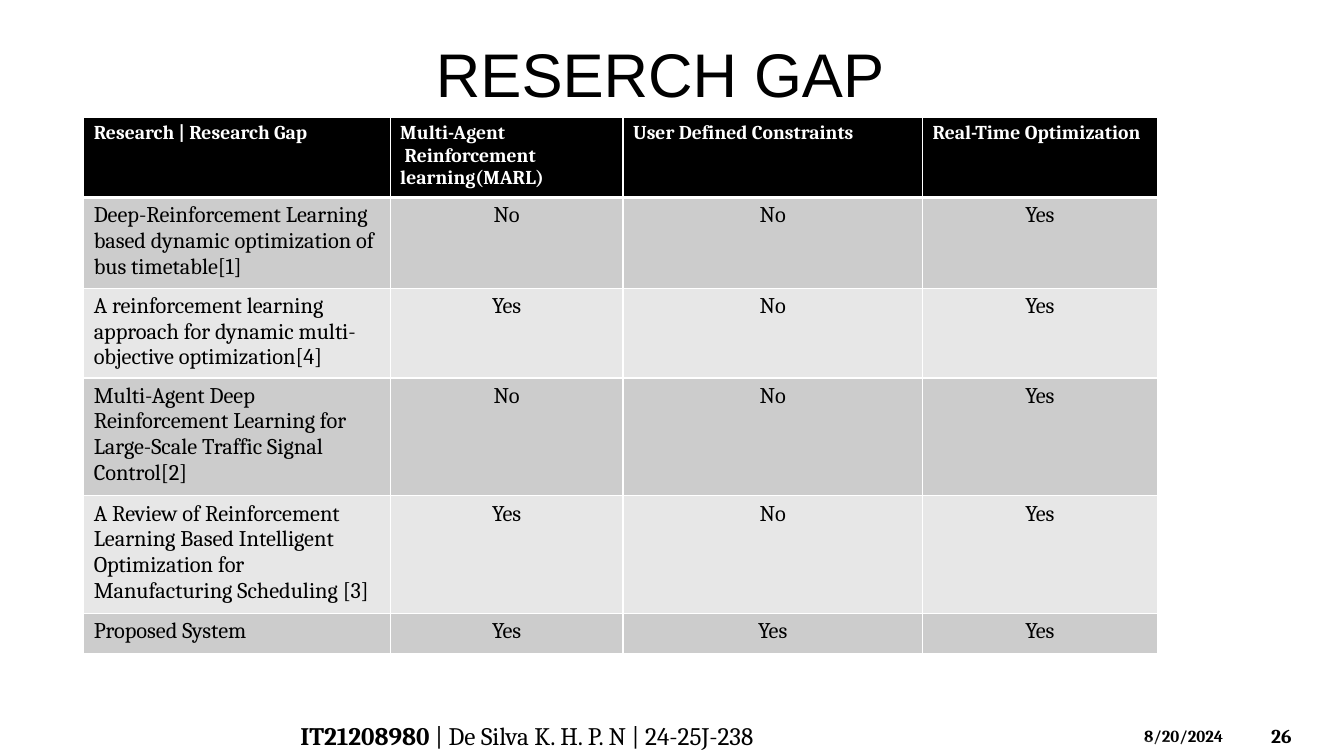
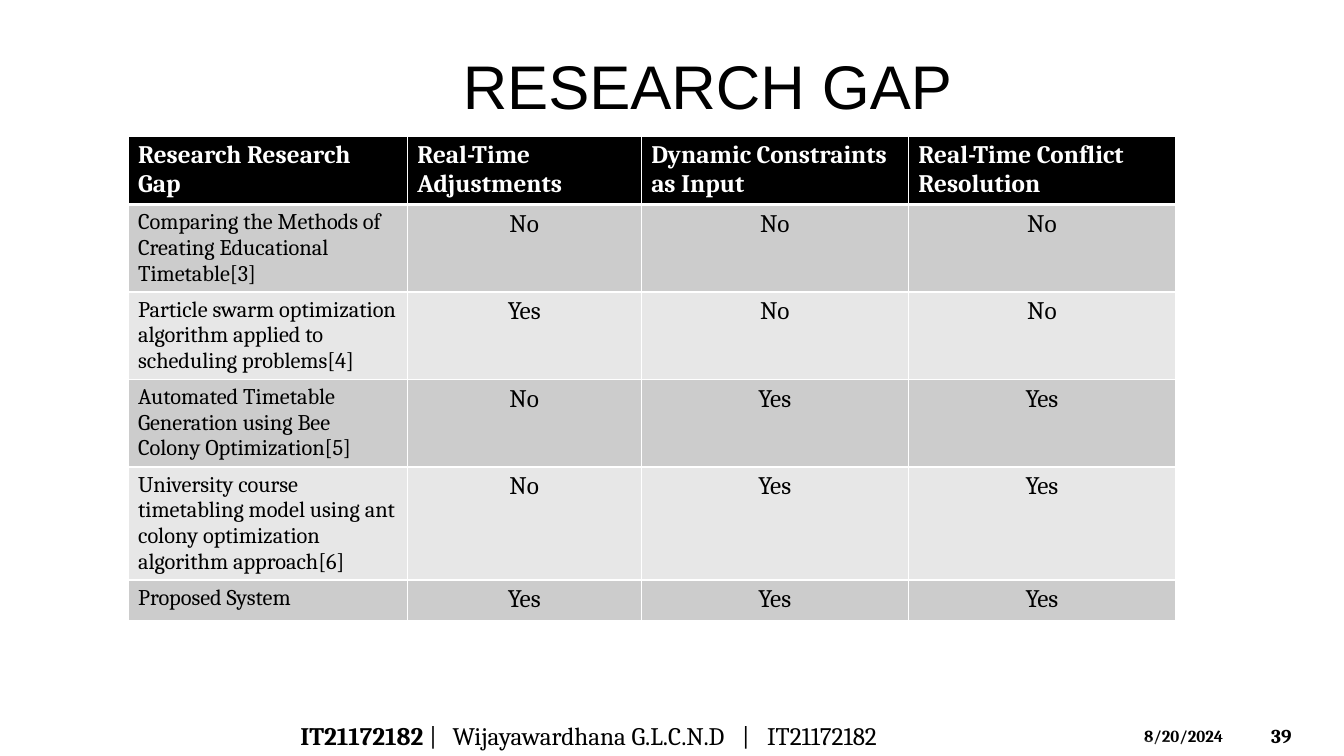
from pptx import Presentation
from pptx.dml.color import RGBColor
from pptx.enum.shapes import MSO_SHAPE as Shape
from pptx.enum.text import MSO_ANCHOR as Anchor, PP_ALIGN as Align
from pptx.oxml.ns import qn
from pptx.util import Inches, Pt
from lxml.etree import SubElement as Sub

HUES = {"ink": "000000", "paper": "FFFFFF", "dark": "CCCCCC", "light": "E7E7E7"}
HEAD, BODY = "Arial", "Cambria"
DATE = "8/20/2024"
HARD = chr(160)  # no-break space
WIDE = 13.33


def hue(name):
    return RGBColor.from_string(HUES[name])


def style(par, size, color="ink", bold=None, face=BODY, align=Align.LEFT):
    par.alignment = align
    font = par.font
    font.name, font.size, font.bold = face, Pt(size), bold
    font.color.rgb = hue(color)


def add_title(slide, text, left, top):
    title = slide.shapes.title
    title.left, title.top = Inches(left), Inches(top)
    title.width, title.height = Inches(12.6), Inches(0.87)
    title.text_frame.vertical_anchor = Anchor.MIDDLE
    title.text_frame.text = text
    style(title.text_frame.paragraphs[0], 44, face=HEAD, align=Align.CENTER)


def add_label(slide, left, top, width, height):
    """Add an empty text box and return its first paragraph."""
    box = slide.shapes.add_textbox(*map(Inches, (left, top, width, height)))
    frame = box.text_frame
    frame.word_wrap = True
    frame.vertical_anchor = Anchor.MIDDLE
    return frame.paragraphs[0]


def add_tabs(par, stops):
    tabs = Sub(par._p.get_or_add_pPr(), qn("a:tabLst"))
    for stop in stops:
        Sub(tabs, qn("a:tab"), pos=str(Inches(stop)), algn="l")


def add_bands(slide):
    """Lay two sheer triangles along the foot of the slide."""
    for top, height, peak in ((7.09, 0.41, 0.63), (7.3, 0.2, 0.39)):
        box = map(Inches, (0, top, WIDE, height))
        band = slide.shapes.add_shape(Shape.ISOSCELES_TRIANGLE, *box)
        band.adjustments[0] = peak
        band.shadow.inherit = False
        band.line.fill.background()
        band.fill.solid()
        band.fill.fore_color.rgb = hue("paper")
        tint = band._element.spPr.find(qn("a:solidFill"))[0]
        Sub(tint, qn("a:alpha"), val="20000")


def add_footer(slide, code, rest, stops, number):
    for text, size, box in (
        (number, 14, (12.51, 7.1, 0.74, 0.4)),
        (DATE, 12, (11.25, 7.15, 1.17, 0.3)),
    ):
        par = add_label(slide, *box)
        par.text = text
        style(par, size, bold=True)
    add_bands(slide)
    author = add_label(slide, 2.88, 7.1, 7.45, 0.4)
    if stops:
        add_tabs(author, stops)
    style(author, 18)
    for text, bold in ((code, True), (rest, False)):
        run = author.add_run()
        run.text, run.font.bold = text, bold


def add_edges(cell, base):
    """Draw white cell borders, the bottom one of the given width."""
    props = cell._tc.get_or_add_tcPr()
    for side, width in (("L", 1), ("R", 1), ("T", 1), ("B", base)):
        line = Sub(props, qn(f"a:ln{side}"), w=str(Pt(width)))
        Sub(Sub(line, qn("a:solidFill")), qn("a:srgbClr"), val=HUES["paper"])


def add_grid(slide, left, top, widths, heights, rows, top_size, mark_size):
    box = map(Inches, (left, top, sum(widths), sum(heights)))
    table = slide.shapes.add_table(len(rows), len(widths), *box).table
    for col, width in zip(table.columns, widths):
        col.width = Inches(width)
    for r, (row, height) in enumerate(zip(rows, heights)):
        table.rows[r].height = Inches(height)
        for c, text in enumerate(row):
            cell = table.cell(r, c)
            add_edges(cell, 1 if r else 3)
            cell.fill.solid()
            cell.text = text
            par = cell.text_frame.paragraphs[0]
            if r == 0:
                fill = "ink"
                style(par, top_size, "paper", True)
            else:
                fill = "dark" if r % 2 else "light"
                size, align = (mark_size, Align.CENTER) if c else (16, Align.LEFT)
                style(par, size, bold=False, align=align)
            cell.fill.fore_color.rgb = hue(fill)


def add_gap(deck, title, grid, footer):
    slide = deck.slides.add_slide(deck.slide_layouts[5])
    add_title(slide, *title)
    add_grid(slide, **grid)
    add_footer(slide, *footer)


BUS = [
    ("Research | Research Gap", f"Multi-Agent {HARD}Reinforcement learning(MARL)",
     "User Defined Constraints", "Real-Time Optimization"),
    ("Deep-Reinforcement Learning based dynamic optimization of bus timetable[1]",
     "No", "No", "Yes"),
    ("A reinforcement learning approach for dynamic multi-objective optimization[4]",
     "Yes", "No", "Yes"),
    ("Multi-Agent Deep Reinforcement Learning for Large-Scale Traffic Signal Control[2]",
     "No", "No", "Yes"),
    ("A Review of Reinforcement Learning Based Intelligent Optimization for "
     "Manufacturing Scheduling [3]", "Yes", "No", "Yes"),
    ("Proposed System", "Yes", "Yes", "Yes"),
]
COURSE = [
    ("Research Research Gap", "Real-Time Adjustments",
     "Dynamic Constraints as Input", "Real-Time Conflict Resolution"),
    ("Comparing the Methods of Creating Educational Timetable[3]", "No", "No", "No"),
    ("Particle swarm optimization algorithm applied to scheduling problems[4]",
     "Yes", "No", "No"),
    ("Automated Timetable Generation using Bee Colony Optimization[5]",
     "No", "Yes", "Yes"),
    ("University course timetabling model using ant colony optimization "
     "algorithm approach[6]", "No", "Yes", "Yes"),
    ("Proposed System", "Yes", "Yes", "Yes"),
]


def main():
    deck = Presentation()
    deck.slide_width, deck.slide_height = Inches(WIDE), Inches(7.5)
    add_gap(
        deck, ("RESERCH GAP", 0.25, 0.29),
        dict(left=0.83, top=1.16, widths=(3.04, 2.31, 2.97, 2.33),
             heights=(0.8, 0.9, 0.89, 1.17, 1.17, 0.4),
             rows=BUS, top_size=14, mark_size=16),
        ("IT21208980 ", "| De Silva K. H. P. N | 24-25J-238", (), "26"),
    )
    add_gap(
        deck, ("RESEARCH GAP", 0.72, 0.41),
        dict(left=1.27, top=1.35, widths=(2.77, 2.32, 2.65, 2.65),
             heights=(0.67, 0.87, 0.86, 0.87, 1.12, 0.4),
             rows=COURSE, top_size=18, mark_size=18),
        ("IT21172182", " |\tWijayawardhana G.L.C.N.D\t|\tIT21172182",
         (1.51, 4.38, 4.63), "39"),
    )
    deck.save("out.pptx")


if __name__ == "__main__":
    main()
